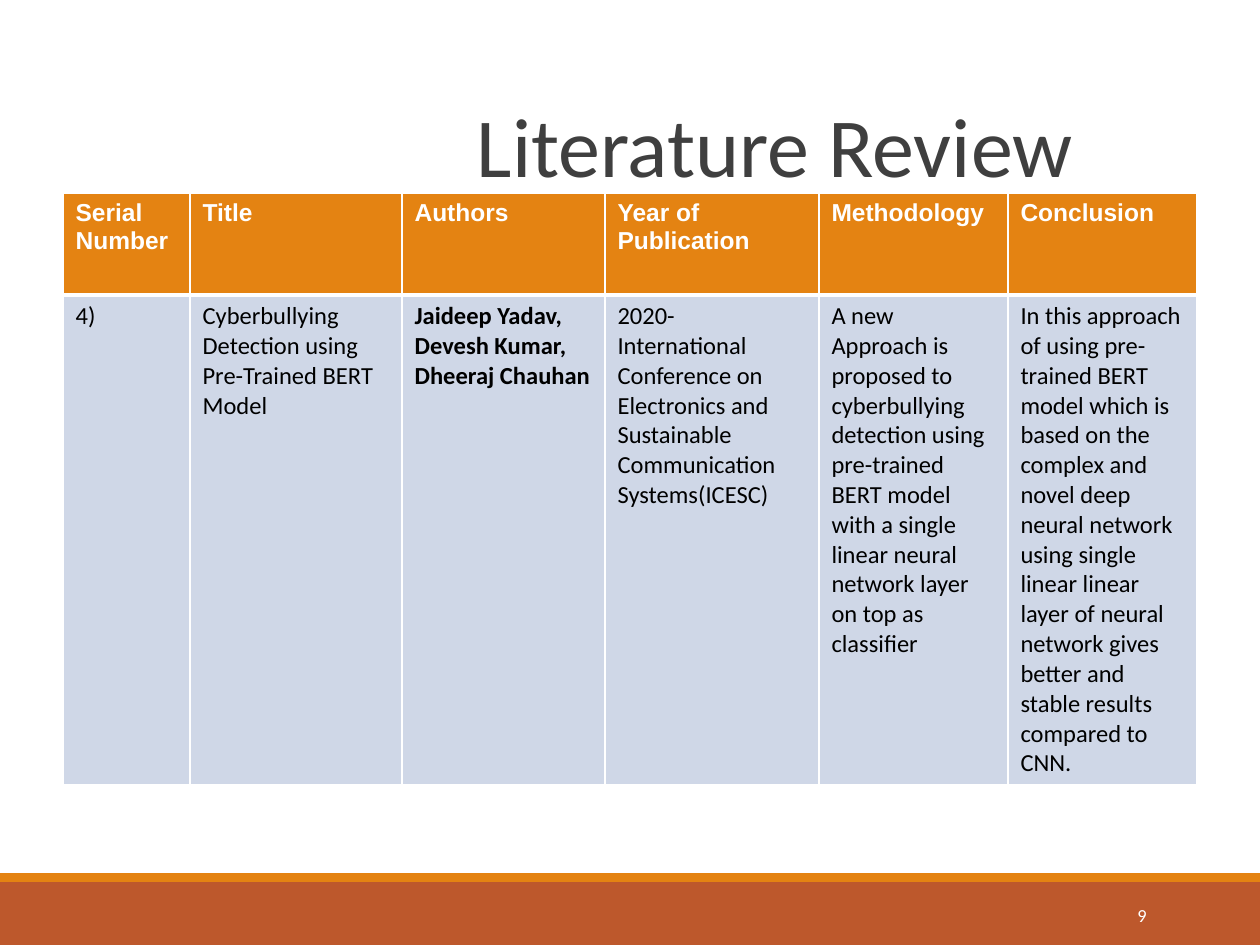
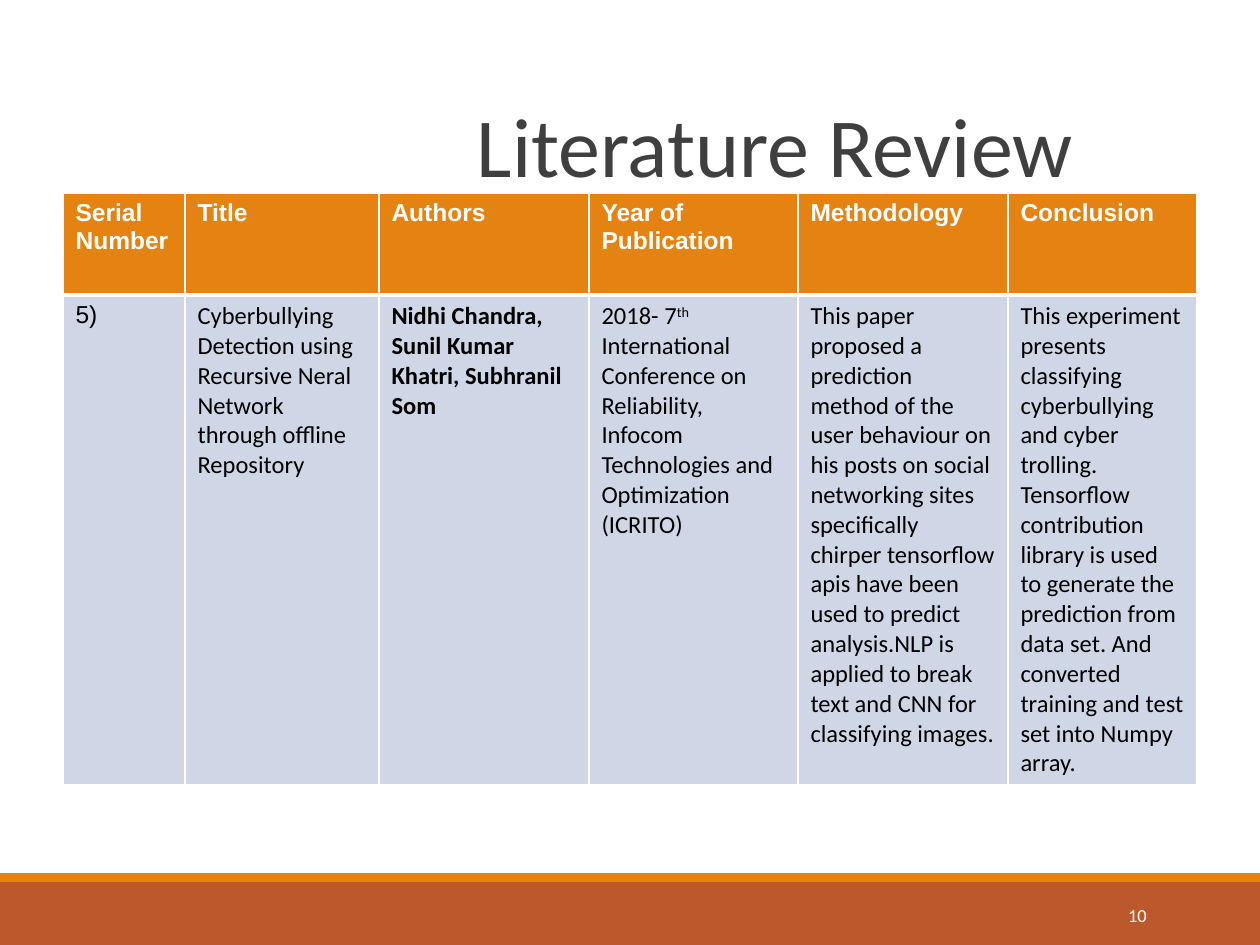
from lxml.etree import SubElement
from pptx import Presentation
from pptx.dml.color import RGBColor
from pptx.enum.shapes import MSO_SHAPE as Preset
from pptx.enum.text import MSO_ANCHOR as Anchor, MSO_AUTO_SIZE as AutoSize, PP_ALIGN as Align
from pptx.oxml.ns import qn
from pptx.util import Pt

COLORS = {
    "rust": "BD582C", "orange": "E48312", "title": "3F3F3F",
    "white": "FFFFFF", "black": "000000", "row": "CFD7E7",
}
HEADING = "Literature Review"
COLUMNS = ["Serial Number", "Title", "Authors", "Year of Publication", "Methodology", "Conclusion"]
AUTHORS = COLUMNS.index("Authors")

# A newline starts a paragraph; text between carets is superscript.
PAPERS = [
    {
        "page": 9,
        "serial_font": "Calibri",
        "widths": [127, 212, 203, 214, 189, 189],
        "entry": [
            "4)",
            "Cyberbullying Detection using Pre-Trained BERT Model",
            "Jaideep Yadav,\nDevesh Kumar,\nDheeraj Chauhan",
            "2020- International Conference on Electronics and Sustainable "
            "Communication Systems(ICESC)",
            "A new Approach is proposed to cyberbullying detection using pre-trained "
            "BERT model with a single linear neural network layer on top as classifier",
            "In this approach of using pre-trained BERT model which is based on the "
            "complex and novel deep neural network using single linear linear layer of "
            "neural network gives better and stable results compared to CNN.",
        ],
    },
    {
        "page": 10,
        "serial_font": "Arial",
        "widths": [122, 194, 210, 209, 210, 189],
        "entry": [
            "5)",
            "Cyberbullying Detection using Recursive Neral Network through offline Repository",
            "Nidhi Chandra, Sunil Kumar Khatri, Subhranil Som",
            "2018- 7^th^ International Conference on Reliability, Infocom "
            "Technologies and Optimization (ICRITO)",
            "This paper proposed a prediction method of the user behaviour on his posts on "
            "social networking sites specifically chirper tensorflow apis have been used to "
            "predict analysis.NLP is applied to break text and CNN for classifying images.",
            "This experiment presents classifying cyberbullying and cyber trolling. "
            "Tensorflow contribution library is used to generate the prediction from data "
            "set. And converted training and test set into Numpy array.",
        ],
    },
]

SLIDE_W, SLIDE_H = 1260, 945
BANDS = [("rust", 882, 63), ("orange", 873, 9)]
TITLE_BOX = (113, 39, 1040, 200)
TITLE_INDENT = 284
PAGE_BOX = (1023, 890, 136, 50)
TABLE_LEFT, TABLE_TOP = 63, 193
ROW_HEIGHTS = [102, 490]


def px(length):
    return round(length * 914400 / 126)


def box(*lengths):
    return [px(length) for length in lengths]


def rgb(name):
    return RGBColor.from_string(COLORS[name])


def set_font(paragraph, size, color, face="Calibri", bold=False):
    font = paragraph.font
    font.name, font.size, font.bold = face, Pt(size), bold
    font.color.rgb = rgb(color)


def add_bands(slide):
    """Put the footer bands on the layout that all slides share."""
    for color, top, height in BANDS:
        band = slide.shapes.add_shape(Preset.RECTANGLE, *box(0, top, SLIDE_W, height))
        band.shadow.inherit = False
        band.fill.solid()
        band.fill.fore_color.rgb = rgb(color)
        band.line.fill.background()
        slide.slide_layout.shapes.element.append(band.element)


def add_title(slide):
    title = slide.shapes.title
    title.left, title.top, title.width, title.height = box(*TITLE_BOX)
    frame = title.text_frame
    frame.text = HEADING
    frame.auto_size = AutoSize.NONE
    frame.vertical_anchor = Anchor.MIDDLE
    frame.margin_top = px(16)
    heading = frame.paragraphs[0]
    heading.alignment = Align.CENTER
    heading._p.get_or_add_pPr().set("marL", str(px(TITLE_INDENT)))
    set_font(heading, 48, "title")


def add_page_number(slide, page):
    frame = slide.shapes.add_textbox(*box(*PAGE_BOX)).text_frame
    frame.word_wrap = True
    frame.vertical_anchor = Anchor.MIDDLE
    frame.text = str(page)
    frame.paragraphs[0].alignment = Align.RIGHT
    set_font(frame.paragraphs[0], 10.5, "white")


def set_borders(cell, top, bottom):
    """Draw white borders, with top and bottom widths in points."""
    properties = cell._tc.get_or_add_tcPr()
    for side, width in (("L", 1), ("R", 1), ("T", top), ("B", bottom)):
        border = SubElement(properties, qn(f"a:ln{side}"), w=str(Pt(width)))
        fill = SubElement(border, qn("a:solidFill"))
        SubElement(fill, qn("a:srgbClr"), val=COLORS["white"])


def fill_cell(cell, text, background, color, face, bold):
    cell.fill.solid()
    cell.fill.fore_color.rgb = rgb(background)
    frame = cell.text_frame
    for index, line in enumerate(text.split("\n")):
        paragraph = frame.add_paragraph() if index else frame.paragraphs[0]
        set_font(paragraph, 14, color, face, bold)
        for part, words in enumerate(line.split("^")):
            run = paragraph.add_run()
            run.text = words
            if part % 2:
                run._r.get_or_add_rPr().set("baseline", "30000")


def add_review(slide, paper):
    widths = paper["widths"]
    area = box(TABLE_LEFT, TABLE_TOP, sum(widths), sum(ROW_HEIGHTS))
    review = slide.shapes.add_table(len(ROW_HEIGHTS), len(COLUMNS), *area).table
    review.horz_banding = False
    for row, height in zip(review.rows, ROW_HEIGHTS):
        row.height = px(height)
    for index, (width, label, text) in enumerate(zip(widths, COLUMNS, paper["entry"])):
        review.columns[index].width = px(width)
        header, body = review.cell(0, index), review.cell(1, index)
        set_borders(header, top=1, bottom=3)
        set_borders(body, top=3, bottom=1)
        face = "Calibri" if index else paper["serial_font"]
        fill_cell(header, label, "orange", "white", "Arial", True)
        fill_cell(body, text, "row", "black", face, index == AUTHORS)


def main():
    deck = Presentation()
    deck.slide_width, deck.slide_height = box(SLIDE_W, SLIDE_H)
    title_only = deck.slide_layouts[5]
    for paper in PAPERS:
        slide = deck.slides.add_slide(title_only)
        add_title(slide)
        add_page_number(slide, paper["page"])
        add_review(slide, paper)
    add_bands(deck.slides[0])
    deck.save("out.pptx")


if __name__ == "__main__":
    main()
